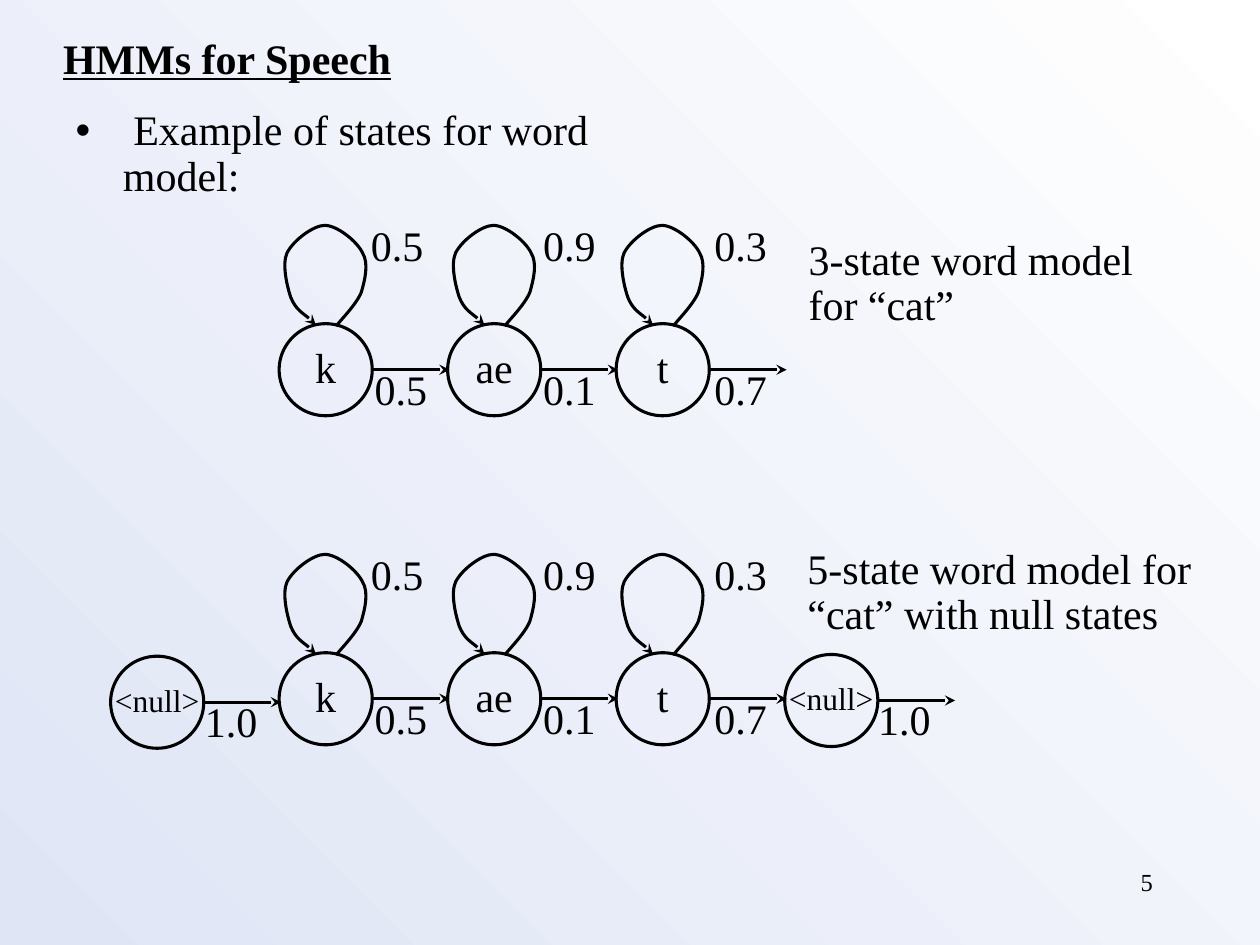
import dataclasses

import lxml.etree
import pptx
import pptx.dml.color
import pptx.enum.shapes
import pptx.enum.text
import pptx.oxml.ns
import pptx.util

Pt = pptx.util.Pt
Align = pptx.enum.text.PP_ALIGN
Anchor = pptx.enum.text.MSO_ANCHOR
qn = pptx.oxml.ns.qn

INK = "000000"
STATE_WIDTH, STATE_HEIGHT = 53.2, 52.6
STATE_PITCH = 96.3
STEP_LENGTH = 44.2
LOOP_CURVE = [
    (31, 57.6),
    (33, 54.7), (42.5, 45.4), (45.4, 38.2),
    (47.5, 31), (49.7, 21.6), (46.1, 15.8),
    (43.2, 9.4), (31.7, 0), (24.5, 0),
    (18, 0), (6.5, 8.6), (2.9, 15.8),
    (0, 22.3), (2.9, 34.6), (5, 41),
    (7.9, 48.2), (16.6, 53.3), (19.4, 56.9),
]


@dataclasses.dataclass
class State:
    name: str
    step: str
    step_left: float
    loop: str = ""
    loop_left: float = 0
    drop: float = 0
    size: int = 24


PHONES = [
    State("k", "0.5", 47.5, "0.5", 45.4),
    State("ae", "0.1", 47.5, "0.9", 47.5),
    State("t", "0.7", 49, "0.3", 49),
]
START = State("<null>", "1.0", 46.8, drop=2, size=18)
END = State("<null>", "1.0", 46.4, drop=1, size=18)


def color(code):
    return pptx.dml.color.RGBColor.from_string(code)


def place(shape, box):
    shape.left, shape.top, shape.width, shape.height = map(Pt, box)


def write(frame, lines, size=24, align=Align.LEFT, anchor=Anchor.TOP,
          wrap=False, spacing=0.9):
    frame.auto_size = pptx.enum.text.MSO_AUTO_SIZE.NONE
    frame.word_wrap = wrap
    frame.vertical_anchor = anchor
    frame.text = "\n".join(lines)
    for paragraph in frame.paragraphs:
        paragraph.alignment = align
        paragraph.line_spacing = spacing
        paragraph.space_before = Pt(0)
        paragraph.font.name = "Times New Roman"
        paragraph.font.size = Pt(size)
        paragraph.font.color.rgb = color(INK)


def add_text(slide, box, lines, **style):
    write(slide.shapes.add_textbox(*map(Pt, box)).text_frame, lines, **style)


def outline(shape, arrow=False):
    shape.line.color.rgb = color(INK)
    shape.line.width = Pt(1.75)
    if arrow:
        line = shape.line._get_or_add_ln()
        lxml.etree.SubElement(line, qn("a:tailEnd"), type="stealth")


def add_loop(slide, left, top):
    points = [(Pt(left + x), Pt(top + y)) for x, y in LOOP_CURVE]
    builder = slide.shapes.build_freeform(*points[0])
    builder.add_line_segments(points[1:], close=False)
    loop = builder.convert_to_shape()
    segments = list(loop._element.iter(qn("a:lnTo")))
    outline_path = segments[0].getparent()
    for start in range(0, len(segments), 3):
        curve = lxml.etree.SubElement(outline_path, qn("a:cubicBezTo"))
        for segment in segments[start:start + 3]:
            curve.append(segment[0])
            outline_path.remove(segment)
    loop.fill.background()
    loop.shadow.inherit = False
    outline(loop, arrow=True)


def add_step(slide, left, middle):
    step = slide.shapes.add_connector(
        pptx.enum.shapes.MSO_CONNECTOR.STRAIGHT,
        Pt(left), Pt(middle), Pt(left + STEP_LENGTH), Pt(middle))
    outline(step, arrow=True)
    lxml.etree.SubElement(step._element.spPr, qn("a:effectLst"))


def add_state(slide, left, top, state):
    circle = slide.shapes.add_shape(
        pptx.enum.shapes.MSO_SHAPE.OVAL,
        Pt(left), Pt(top), Pt(STATE_WIDTH), Pt(STATE_HEIGHT))
    circle.fill.background()
    circle.shadow.inherit = False
    outline(circle)
    frame = circle.text_frame
    frame.margin_left = frame.margin_right = 0
    frame.margin_top = frame.margin_bottom = 0
    write(frame, [state.name], state.size, Align.CENTER, Anchor.MIDDLE)

    add_step(slide, left + STATE_WIDTH, top + STATE_HEIGHT / 2)
    add_text(slide, (left + state.step_left, top + 22.2, 44, 33), [state.step])
    if state.loop:
        add_loop(slide, left + 1.6, top - 56.2)
        add_text(slide, (left + state.loop_left, top - 60, 44, 33), [state.loop])


def add_word_model(slide, left, top, states, caption_box, caption):
    for index, state in enumerate(states):
        add_state(slide, left + index * STATE_PITCH, top + state.drop, state)
    add_text(slide, caption_box, caption, anchor=Anchor.MIDDLE)


def add_heading(slide, box):
    title = slide.shapes.title
    place(title, box)
    write(title.text_frame, ["HMMs for Speech"], spacing=1)
    font = title.text_frame.paragraphs[0].font
    font.bold = True
    font.underline = True


def add_topic(slide, box):
    topic = slide.placeholders[1]
    place(topic, box)
    properties = topic.text_frame.paragraphs[0]._p.get_or_add_pPr()
    properties.set("marL", str(Pt(17)))
    properties.set("indent", str(-Pt(17)))
    write(topic.text_frame, [" Example of states for word model:"], wrap=True)


def paint_background(slide):
    fill = slide.background.fill
    fill.gradient()
    fill.gradient_angle = 225
    for stop, code in zip(fill.gradient_stops, ("FFFFFF", "DFE5F5")):
        stop.color.rgb = color(code)


def main():
    deck = pptx.Presentation()
    deck.slide_width, deck.slide_height = Pt(720), Pt(540)
    slide = deck.slides.add_slide(deck.slide_layouts[1])
    paint_background(slide)
    add_heading(slide, (28.8, 15, 202.5, 36))
    add_topic(slide, (36, 59, 352, 60))
    add_word_model(slide, 159.5, 185, PHONES, (455, 133, 199.5, 59),
                   ["3-state word model", "for “cat”"])
    add_word_model(slide, 63.2, 373, [START, *PHONES, END],
                   (454.3, 309.6, 233.5, 59),
                   ["5-state word model for", "“cat” with null states"])
    add_text(slide, (516, 492, 150, 36), ["5"], size=14, align=Align.RIGHT,
             wrap=True, spacing=1)
    deck.save("out.pptx")


if __name__ == "__main__":
    main()
